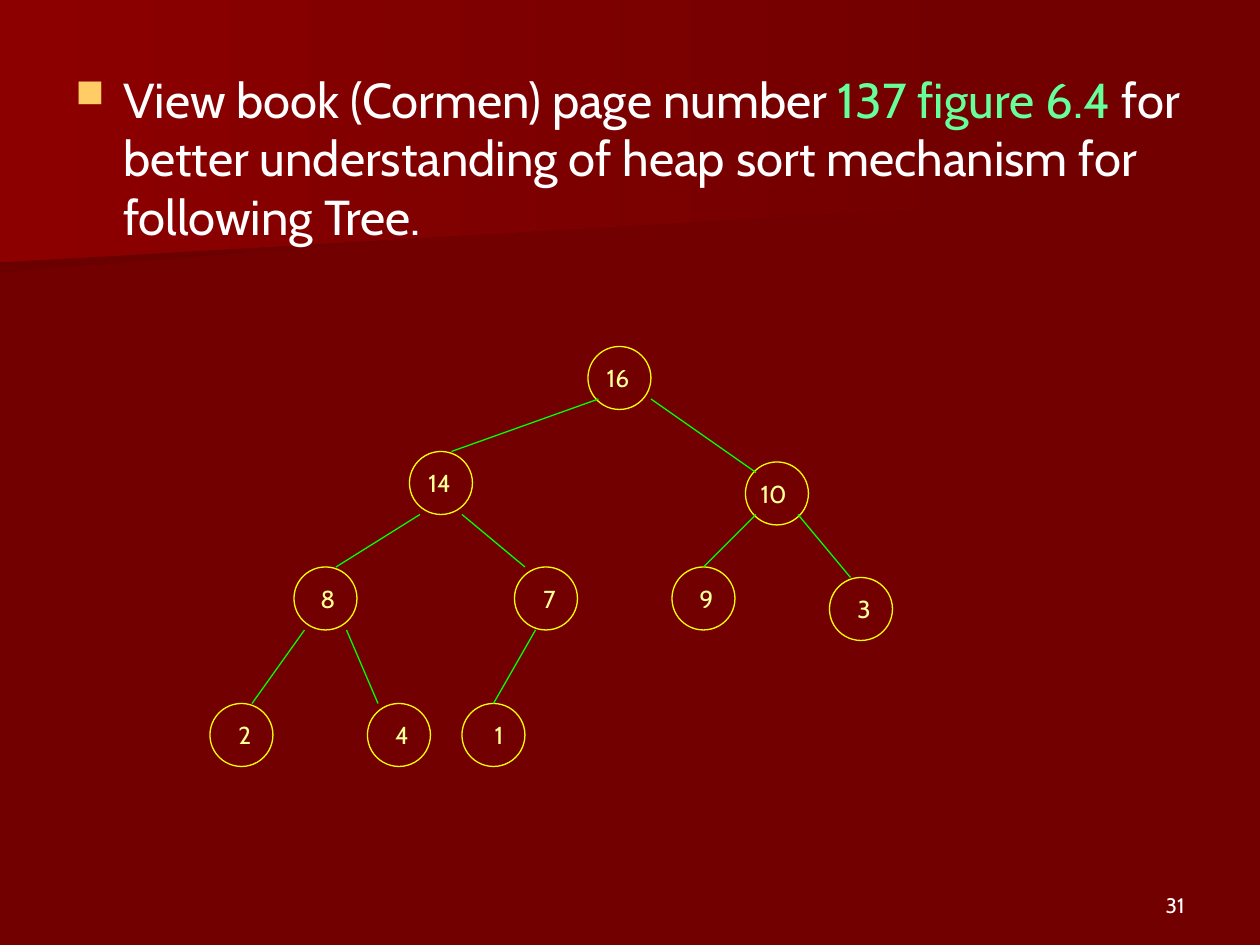
from pptx import Presentation
from pptx.dml.color import RGBColor
from pptx.enum.shapes import MSO_CONNECTOR, MSO_SHAPE
from pptx.enum.text import MSO_ANCHOR, PP_ALIGN
from pptx.oxml.ns import qn
from pptx.util import Inches, Pt
from lxml import etree

LEFT, RIGHT = PP_ALIGN.LEFT, PP_ALIGN.RIGHT
TOP, MIDDLE, BOTTOM = MSO_ANCHOR.TOP, MSO_ANCHOR.MIDDLE, MSO_ANCHOR.BOTTOM
ELLIPSE, STRAIGHT = MSO_SHAPE.OVAL, MSO_CONNECTOR.STRAIGHT

COLORS = {
    "background": "720000", "shade": "6B0000", "glow": "8C0000",
    "text": "FFFFFF", "highlight": "66FF99", "bullet": "FFCC66",
    "node": "FFFF00", "key": "FFFF99", "edge": "00FF00",
}
COLUMNS, ROWS = 120, 90
NODE_SIZE = 6

BANDS = [
    ("shade", [(93.4, 18.4), (0, 26), (0, 12.1), (93.5, 12.1), (93.4, 15.4)]),
    ("glow", [(95, 19.4), (0, 25), (0, 0), (95, 0)]),
]
STATEMENT = [
    ("View book (Cormen) page number ", "text"),
    ("137 figure 6.4", "highlight"),
    (" for better understanding of heap sort mechanism for following Tree.", "text"),
]
NODES = {
    "16": (56, 33), "14": (39, 43), "10": (71, 44), "8": (28, 54), "7": (49, 54),
    "9": (64, 54), "3": (79, 55), "2": (20, 67), "4": (35, 67), "1": (44, 67),
}
EDGES = [
    ((57, 38), (43, 43)), ((62, 38), (72, 45)),
    ((40, 49), (32, 54)), ((44, 49), (50, 54)),
    ((72, 49), (67, 54)), ((76, 49), (81, 55)),
    ((29, 60), (24, 67)), ((33, 60), (36, 67)), ((51, 60), (47, 67)),
]


class SlideBuilder:
    """Draws styled elements on one slide, placed by grid columns and rows."""

    def __init__(self, presentation):
        self.font = "Cabin"
        self.line_width = Pt(0.74)
        self.column = presentation.slide_width // COLUMNS
        self.row = presentation.slide_height // ROWS
        self.slide = presentation.slides.add_slide(presentation.slide_layouts[6])
        self.shapes = self.slide.shapes
        fill = self.slide.background.fill
        fill.solid()
        fill.fore_color.rgb = self.color("background")

    def color(self, name):
        return RGBColor.from_string(COLORS[name])

    def point(self, column, row):
        return round(column * self.column), round(row * self.row)

    def line(self, shape, name):
        shape.line.color.rgb = self.color(name)
        shape.line.width = self.line_width

    def fill_text(self, shape, runs, size, frame_format, paragraph_format):
        frame = shape.text_frame
        paragraph = frame.paragraphs[0]
        for target, values in ((frame, frame_format), (paragraph, paragraph_format)):
            for name, value in values.items():
                setattr(target, name, value)
        for text, color in runs:
            run = paragraph.add_run()
            run.text = text
            run.font.name = self.font
            run.font.size = Pt(size)
            run.font.color.rgb = self.color(color)
        return paragraph

    def indent(self, paragraph, inches):
        properties = paragraph._p.get_or_add_pPr()
        properties.set("marL", str(Inches(inches)))
        properties.set("indent", str(-Inches(inches)))
        return properties

    def band(self, color, outline):
        points = [self.point(*corner) for corner in outline]
        builder = self.shapes.build_freeform(*points[0], scale=1.0)
        builder.add_line_segments(points[1:], close=True)
        shape = builder.convert_to_shape()
        shape.shadow.inherit = False
        shape.line.fill.background()
        shape.fill.gradient()
        shape.fill.gradient_angle = 0
        for stop, name in zip(shape.fill.gradient_stops, (color, "background")):
            stop.color.rgb = self.color(name)

    def text(self, place, size, runs, size_points, anchor, **paragraph_format):
        box = self.shapes.add_textbox(*self.point(*place), *self.point(*size))
        frame_format = {"word_wrap": True, "vertical_anchor": anchor}
        return self.fill_text(box, runs, size_points, frame_format, paragraph_format)

    def bullet(self, paragraph):
        properties = self.indent(paragraph, 0.38)
        color = etree.SubElement(properties, qn("a:buClr"))
        etree.SubElement(color, qn("a:srgbClr"), val=COLORS["bullet"])
        etree.SubElement(properties, qn("a:buSzPct"), val="80000")
        etree.SubElement(properties, qn("a:buChar"), char="\u25a0")

    def node(self, key, place):
        size = self.point(NODE_SIZE, NODE_SIZE)
        shape = self.shapes.add_shape(ELLIPSE, *self.point(*place), *size)
        shape.shadow.inherit = False
        shape.fill.background()
        self.line(shape, "node")
        paragraph = self.fill_text(
            shape, [(key, "key")], 14,
            {"word_wrap": False, "vertical_anchor": MIDDLE},
            {"alignment": RIGHT, "space_before": Pt(3.5)},
        )
        self.indent(paragraph, 0.31)

    def edge(self, start, end):
        connector = self.shapes.add_connector(
            STRAIGHT, *self.point(*start), *self.point(*end))
        self.line(connector, "edge")
        etree.SubElement(connector._element.spPr, qn("a:effectLst"))


def main():
    presentation = Presentation()
    presentation.slide_width, presentation.slide_height = Inches(10), Inches(7.5)
    slide = SlideBuilder(presentation)
    for color, outline in BANDS:
        slide.band(color, outline)
    slide.text((86, 82), (28, 6), [("31", "text")], 12, BOTTOM, alignment=RIGHT)
    statement = slide.text((6, 6), (108, 23), STATEMENT, 28, TOP,
                           alignment=LEFT, space_before=Pt(7))
    slide.bullet(statement)
    for key, place in NODES.items():
        slide.node(key, place)
    for start, end in EDGES:
        slide.edge(start, end)
    presentation.save("out.pptx")


main()
